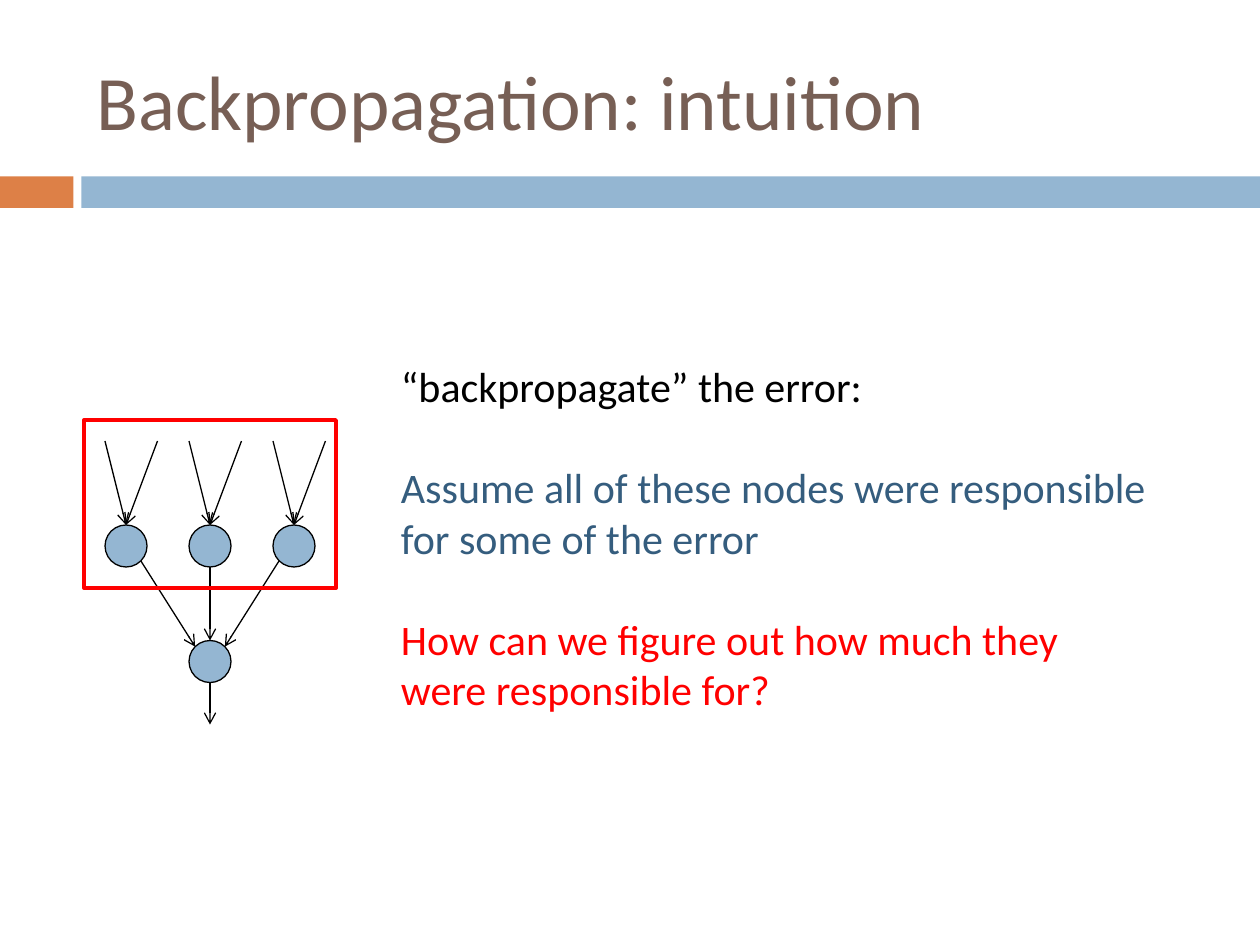
from lxml import etree
from pptx import Presentation
from pptx.dml.color import RGBColor
from pptx.enum import shapes, text
from pptx.oxml import ns
from pptx.util import Pt

ORANGE = RGBColor(0xDD, 0x80, 0x47)
BLUE = RGBColor(0x94, 0xB6, 0xD2)
BROWN = RGBColor(0x77, 0x5F, 0x55)
NAVY = RGBColor(0x35, 0x5D, 0x7E)
RED = RGBColor(0xFF, 0x00, 0x00)
BLACK = RGBColor(0x00, 0x00, 0x00)


def write(para, words, size=24, color=BLACK, font="Calibri", before=0):
    span = para.add_run()
    span.text = words
    span.font.name = font
    span.font.size = Pt(size)
    span.font.color.rgb = color
    if before:
        para.space_before = Pt(before)


class Painter:
    """Draws styled elements on the current slide, with lengths in points."""

    def __init__(self, page, line_width=0.75):
        self.page = page
        self.line_width = line_width

    def shape(self, kind, left, top, width, height, fill=None, line=None, line_width=None):
        shape = self.page.shapes.add_shape(kind, Pt(left), Pt(top), Pt(width), Pt(height))
        shape.shadow.inherit = False
        if fill is None:
            shape.fill.background()
        else:
            shape.fill.solid()
            shape.fill.fore_color.rgb = fill
        if line is None:
            shape.line.fill.background()
        else:
            shape.line.color.rgb = line
            shape.line.width = Pt(line_width or self.line_width)

    def rectangle(self, *place, **style):
        self.shape(shapes.MSO_SHAPE.RECTANGLE, *place, **style)

    def node(self, center, top, size):
        self.shape(shapes.MSO_SHAPE.OVAL, center - size / 2, top, size, size, fill=BLUE, line=BLACK)

    def arrow(self, *ends):
        arrow = self.page.shapes.add_connector(
            shapes.MSO_CONNECTOR.STRAIGHT, *(Pt(end) for end in ends))
        arrow.line.color.rgb = BLACK
        arrow.line.width = Pt(self.line_width)
        etree.SubElement(arrow.line._get_or_add_ln(), ns.qn("a:tailEnd"), type="arrow")
        etree.SubElement(arrow._element.spPr, ns.qn("a:effectLst"))

    def text(self, left, top, width, height, lines, anchor=text.MSO_ANCHOR.TOP):
        box = self.page.shapes.add_textbox(Pt(left), Pt(top), Pt(width), Pt(height))
        frame = box.text_frame
        frame.word_wrap = True
        frame.vertical_anchor = anchor
        for index, (words, style) in enumerate(lines):
            para = frame.add_paragraph() if index else frame.paragraphs[0]
            write(para, words, **style)


def draw_network(painter):
    size, top, output_top = 24, 300, 366
    inputs = (72, 120, 168)
    output = inputs[1]
    for center in inputs:
        painter.node(center, top, size)
    painter.node(output, output_top, size)
    for side in (-1, 1):
        painter.arrow(output + side * 39.5, 320.5, output + side * 8.5, 369.5)
    painter.arrow(output, top + size, output, output_top)
    for center in inputs:
        for offset in (-12, 18):
            painter.arrow(center + offset, 252, center, top)
    painter.arrow(output, output_top + size, output, 414)
    painter.rectangle(48, 240, 144, 96, line=RED, line_width=2.25)


def main():
    deck = Presentation()
    deck.slide_width, deck.slide_height = Pt(720), Pt(540)
    painter = Painter(deck.slides.add_slide(deck.slide_layouts[6]))
    painter.rectangle(0, 100.8, 42, 18, fill=ORANGE)
    painter.rectangle(46.5, 100.8, 673.5, 18, fill=BLUE)
    painter.text(48, 18, 642, 78, [("Backpropagation: intuition", dict(size=44, color=BROWN))],
                 anchor=text.MSO_ANCHOR.MIDDLE)
    painter.text(222, 202.5, 444, 211, [
        ("“backpropagate” the error:", {}),
        ("Assume all of these nodes were responsible for some of the error",
         dict(color=NAVY, before=29)),
        ("How can we figure out how much they were responsible for?",
         dict(color=RED, before=29)),
    ])
    draw_network(painter)
    deck.save("out.pptx")


if __name__ == "__main__":
    main()
